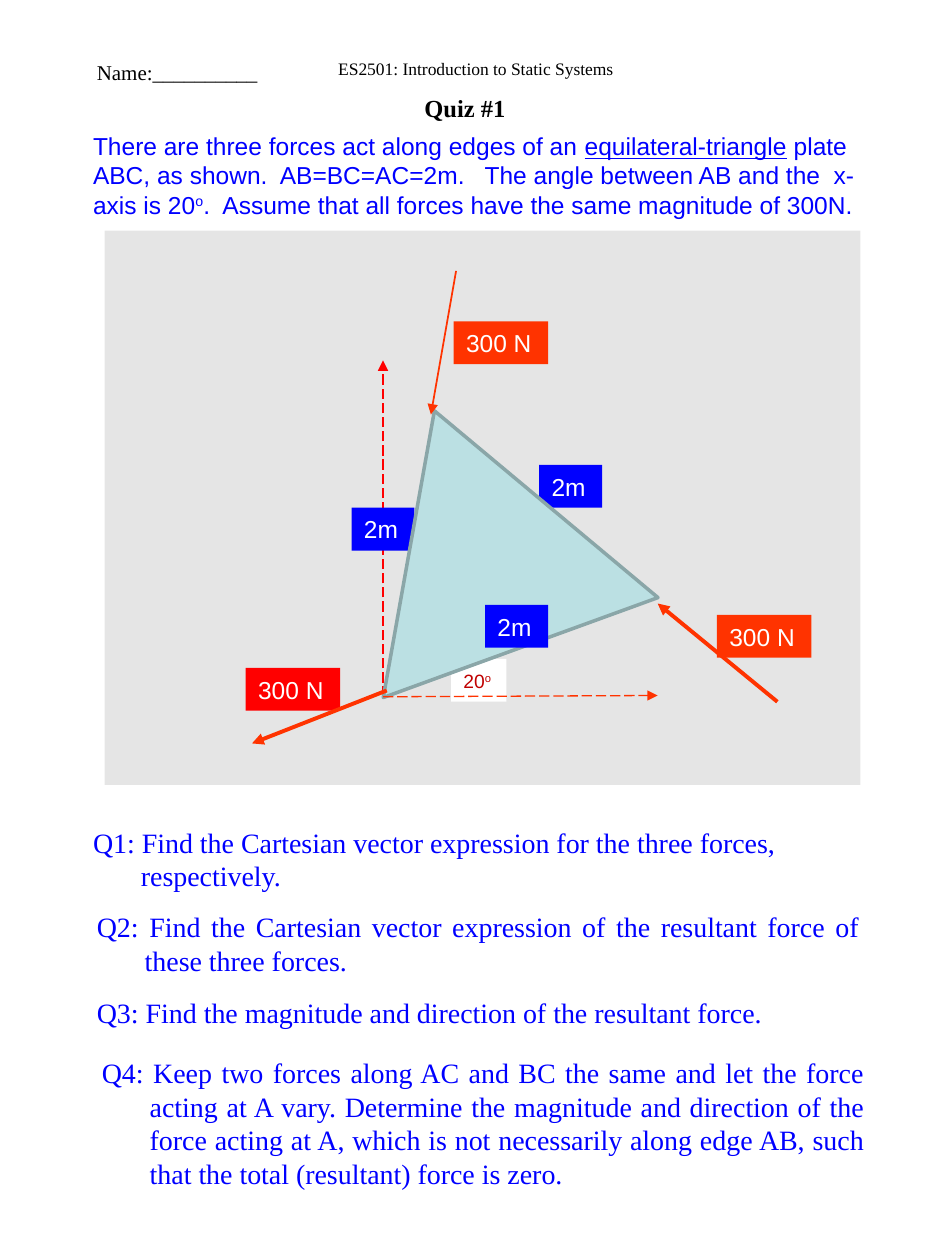
from lxml.etree import SubElement
from pptx import Presentation
from pptx.dml.color import RGBColor
from pptx.enum.dml import MSO_LINE
from pptx.enum.shapes import MSO_CONNECTOR, MSO_SHAPE
from pptx.enum.text import MSO_ANCHOR, PP_ALIGN
from pptx.oxml.ns import qn
from pptx.util import Inches, Pt

BLACK = RGBColor(0, 0, 0)
WHITE = RGBColor(255, 255, 255)
BLUE = RGBColor(0, 0, 255)
RED = RGBColor(255, 0, 0)
ORANGE = RGBColor(0xFF, 0x33, 0)
MAROON = RGBColor(0xC0, 0, 0)
GREY = RGBColor(0x80, 0x80, 0x80)
TEAL = RGBColor(0xBB, 0xE0, 0xE3)
EDGE = RGBColor(0x8A, 0xA6, 0xA8)
SANS, SERIF = "Arial", "Times New Roman"

COURSE = "ES2501: Introduction to Static Systems"
QUIZ = "Quiz #1"
NAME = "Name:__________"

# A run is (text, style); style is "", "under" or "super"
INTRO = [
    ("There are three forces act along edges of an ", ""),
    ("equilateral-triangle", "under"),
    (" plate ABC, as shown.  AB=BC=AC=2m.   The angle between AB and the  x-axis is 20", ""),
    ("o", "super"),
    (".  Assume that all forces have the same magnitude of 300N.", ""),
]
ANGLE = [("20", ""), ("o", "super")]

# left, top, width, height, alignment, text
TASKS = [
    (0.64, 6.5, 6.5, 0.64, PP_ALIGN.LEFT,
     "Q1: Find the Cartesian vector expression for the three forces, respectively."),
    (0.67, 7.17, 6.25, 0.64, PP_ALIGN.JUSTIFY,
     "Q2: Find the Cartesian vector expression of the resultant force of these three forces."),
    (0.67, 7.85, 6.25, 0.37, PP_ALIGN.JUSTIFY,
     "Q3: Find the magnitude and direction of the resultant force."),
    (0.71, 8.33, 6.25, 1.18, PP_ALIGN.JUSTIFY,
     "Q4: Keep two forces along AC and BC the same and let the force acting at A vary. "
     "Determine the magnitude and direction of the force acting at A, which is not "
     "necessarily along edge AB, such that the total (resultant) force is zero."),
]

TAG_H = 0.34
SIDE, FORCE = ("2m", 0.5), ("300 N", 0.75)    # text, width
# left, top, kind, fill
BACK_TAGS = [
    (2.79, 4.03, SIDE, BLUE),
    (4.28, 3.69, SIDE, BLUE),
    (1.95, 5.3, FORCE, RED),
    (5.69, 4.88, FORCE, ORANGE),
]
FRONT_TAGS = [(3.85, 4.8, SIDE, BLUE), (3.6, 2.55, FORCE, ORANGE)]

ORIGIN = (3.04, 5.53)
# start, end, colour, weight, dashed
Y_AXIS = (ORIGIN, (3.04, 2.86), RED, 0.75, True)
X_AXIS = (ORIGIN, (5.22, 5.52), ORANGE, 0.75, True)
FORCE_B = ((6.17, 5.57), (5.22, 4.79), ORANGE, 2.25, False)
FORCE_A = ((3.07, 5.48), (2, 5.9), ORANGE, 2.25, False)
FORCE_C = ((3.62, 2.15), (3.42, 3.29), ORANGE, 1, False)


def write(para, text, font=SERIF, size=16, color=BLUE, bold=False,
          align=PP_ALIGN.LEFT, left=0, hang=0, before=0):
    """Fill a paragraph with a string or a list of styled runs."""
    para.alignment = align
    para.space_before = Pt(before)
    props = para._p.get_or_add_pPr()
    props.set("marL", str(Inches(left + hang)))
    props.set("indent", str(-Inches(hang)))
    for part, style in [(text, "")] if isinstance(text, str) else text:
        run = para.add_run()
        run.text = part
        face = run.font
        face.name, face.size, face.bold = font, Pt(size), bold
        face.color.rgb = color
        if style == "under":
            face.underline = True
        elif style == "super":
            run._r.get_or_add_rPr().set("baseline", "30000")


def add_box(shapes, left, top, width, height, wrap=True):
    box = shapes.add_textbox(Inches(left), Inches(top), Inches(width), Inches(height))
    box.text_frame.word_wrap = wrap
    return box.text_frame


def add_form(shapes, kind, left, top, width, height, fill):
    form = shapes.add_shape(kind, Inches(left), Inches(top), Inches(width), Inches(height))
    form.shadow.inherit = False
    form.fill.solid()
    form.fill.fore_color.rgb = fill
    form.line.fill.background()
    return form


def add_tag(shapes, left, top, width, fill, text, **style):
    tag = add_form(shapes, MSO_SHAPE.RECTANGLE, left, top, width, TAG_H, fill)
    frame = tag.text_frame
    frame.word_wrap = True
    frame.vertical_anchor = MSO_ANCHOR.MIDDLE
    write(frame.paragraphs[0], text, font=SANS, **style)


def add_tags(shapes, tags):
    for left, top, (text, width), fill in tags:
        add_tag(shapes, left, top, width, fill, text, size=14, color=WHITE)


def add_arrow(shapes, start, end, color, weight, dashed):
    ends = [Inches(v) for v in start + end]
    arrow = shapes.add_connector(MSO_CONNECTOR.STRAIGHT, *ends)
    line = arrow.line
    line.color.rgb = color
    line.width = Pt(weight)
    if dashed:
        line.dash_style = MSO_LINE.LONG_DASH
    SubElement(line._get_or_add_ln(), qn("a:tailEnd"), type="triangle")
    SubElement(arrow._element.spPr, qn("a:effectLst"))


def add_figure(shapes):
    add_tag(shapes, 3.58, 5.23, 0.44, WHITE, ANGLE, size=11, color=MAROON)
    add_arrow(shapes, *Y_AXIS)
    add_arrow(shapes, *FORCE_B)
    add_tags(shapes, BACK_TAGS)
    plate = add_form(shapes, MSO_SHAPE.ISOSCELES_TRIANGLE, 2.63, 3.2, 2.32, 2, TEAL)
    plate.rotation = -20
    plate.line.color.rgb = EDGE
    plate.line.width = Pt(2)
    add_tags(shapes, FRONT_TAGS)
    for arrow in (FORCE_A, FORCE_C, X_AXIS):
        add_arrow(shapes, *arrow)


def main():
    deck = Presentation()
    deck.slide_width, deck.slide_height = Inches(7.5), Inches(10)
    shapes = deck.slides.add_slide(deck.slide_layouts[6]).shapes

    panel = add_form(shapes, MSO_SHAPE.RECTANGLE, 0.83, 1.83, 6, 4.4, GREY)
    tint = panel.fill._xPr.find(qn("a:solidFill"))[0]
    SubElement(tint, qn("a:alpha"), val="20000")

    title = add_box(shapes, 0.5, 0.41, 6.38, 0.6)
    write(title.paragraphs[0], COURSE, size=10, color=BLACK,
          align=PP_ALIGN.CENTER, left=0.17)
    write(title.add_paragraph(), QUIZ, size=14, color=BLACK, bold=True,
          align=PP_ALIGN.CENTER, before=8)
    name = add_box(shapes, 0.67, 0.42, 1.48, 0.3, wrap=False)
    write(name.paragraphs[0], NAME, size=12, color=BLACK)
    intro = add_box(shapes, 0.64, 0.99, 6.44, 0.81)
    write(intro.paragraphs[0], INTRO, font=SANS, size=14)

    add_figure(shapes.add_group_shape().shapes)

    for *place, align, text in TASKS:
        task = add_box(shapes, *place)
        write(task.paragraphs[0], text, align=align, hang=0.38)

    deck.save("out.pptx")


if __name__ == "__main__":
    main()
